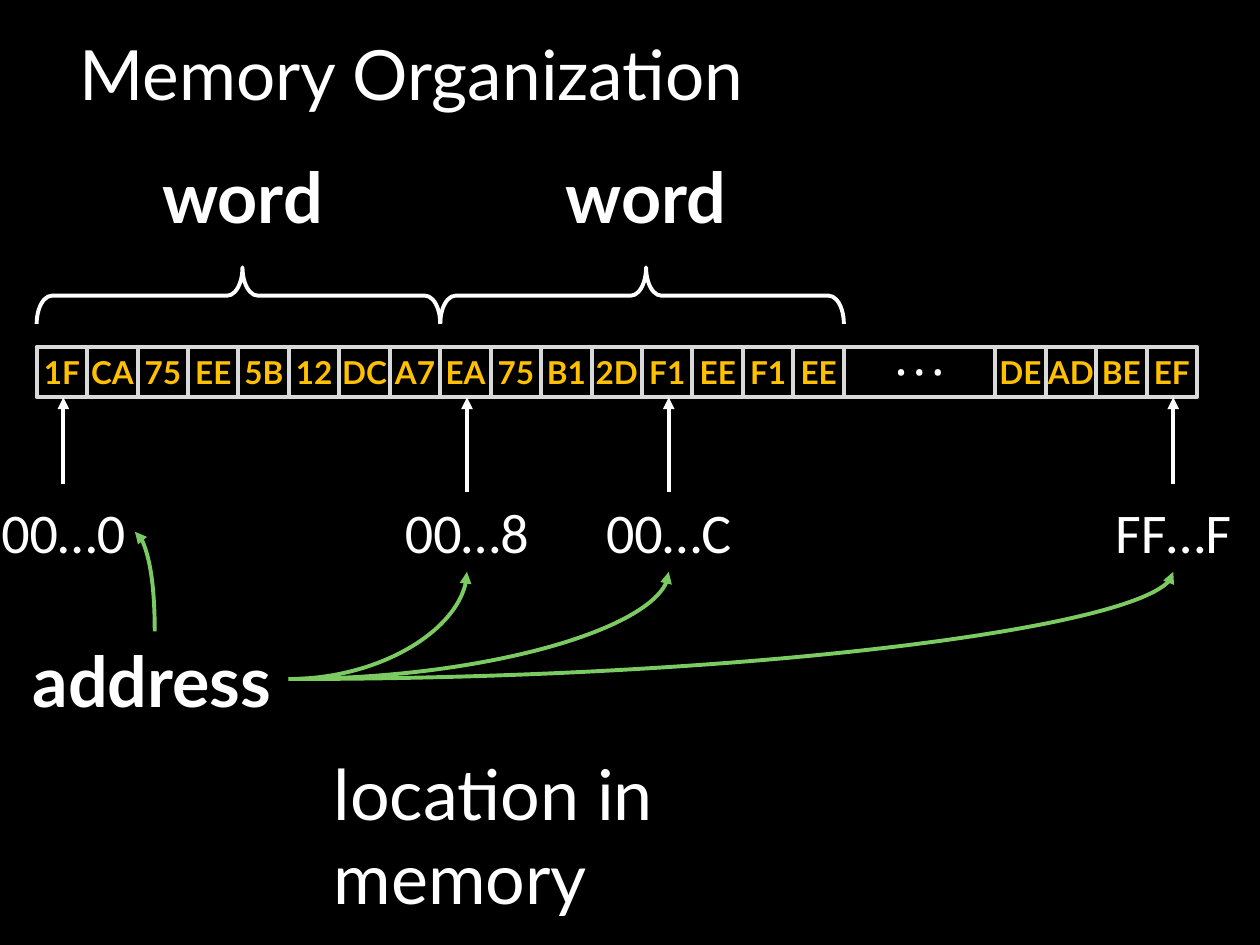
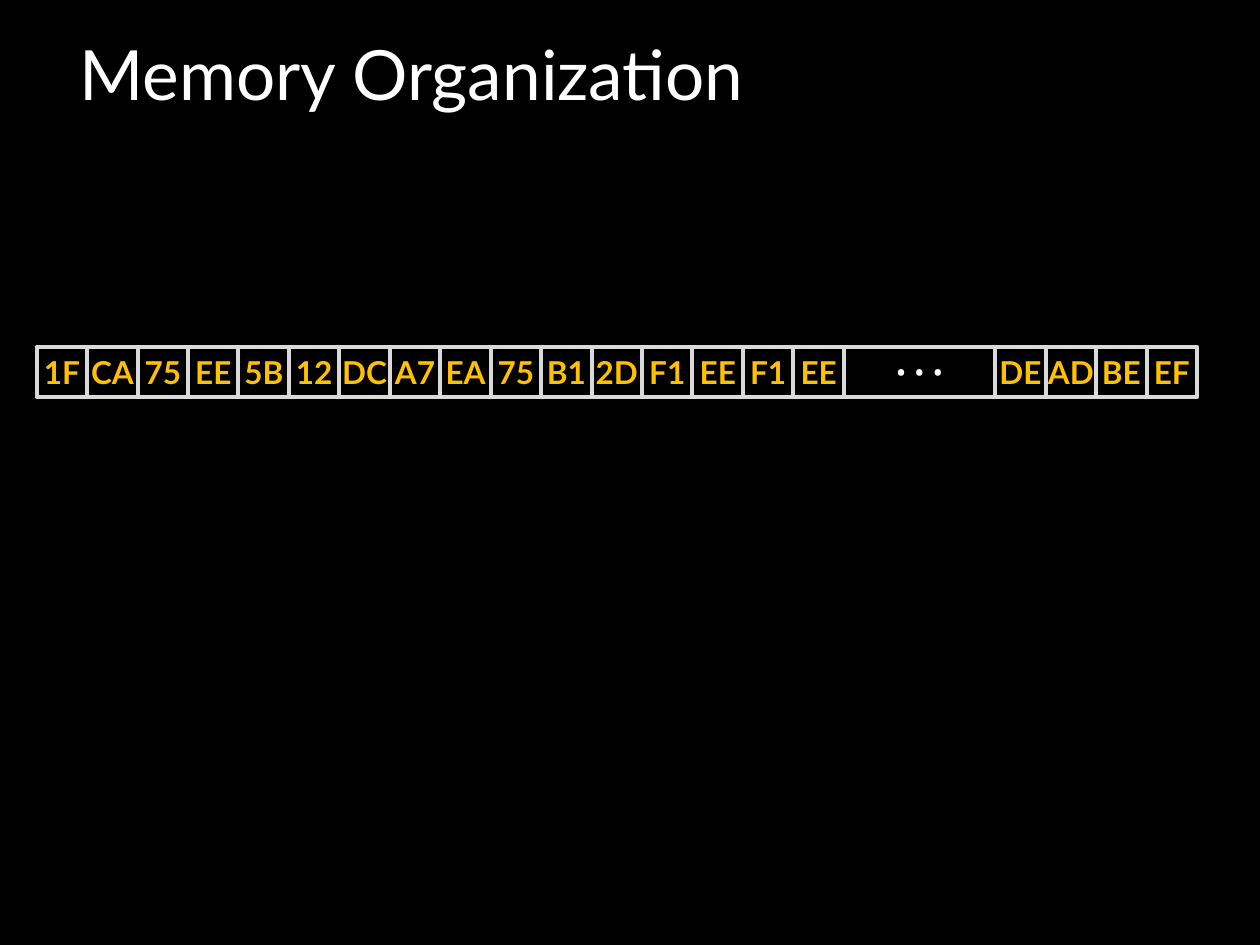
from lxml import etree
from pptx import Presentation
from pptx.dml.color import RGBColor
from pptx.enum.shapes import MSO_CONNECTOR, MSO_SHAPE
from pptx.enum.text import MSO_ANCHOR, MSO_AUTO_SIZE, PP_ALIGN
from pptx.oxml.ns import qn
from pptx.util import Cm, Pt

LEFT, CENTER = PP_ALIGN.LEFT, PP_ALIGN.CENTER
TOP, MIDDLE = MSO_ANCHOR.TOP, MSO_ANCHOR.MIDDLE
GROW = MSO_AUTO_SIZE.SHAPE_TO_FIT_TEXT
RECTANGLE, BRACE = MSO_SHAPE.RECTANGLE, MSO_SHAPE.RIGHT_BRACE
STRAIGHT, CURVE = MSO_CONNECTOR.STRAIGHT, MSO_CONNECTOR.CURVE

# Shared style
BLACK, WHITE, GRAY = "000000", "FFFFFF", "D9D9D9"
GOLD, GREEN = "FFC000", "7CCA62"
LINE_WIDTH = 2.25
TITLE_ONLY = 5

# Memory row, in centimetres: 16 bytes, a gap three cells wide, 4 bytes
FIRST_BYTES = "1F CA 75 EE 5B 12 DC A7 EA 75 B1 2D F1 EE F1 EE".split()
LAST_BYTES = "DE AD BE EF".split()
GAP_CELLS = 3
GAP_START = len(FIRST_BYTES)
LAST_START = GAP_START + GAP_CELLS
ROW_LEFT, ROW_RIGHT, ROW_TOP, ROW_HEIGHT = 0.74, 24.13, 6.99, 1.02
CELL = (ROW_RIGHT - ROW_LEFT) / (LAST_START + len(LAST_BYTES))
BYTES_PER_WORD = 8

# Labelled addresses: cell number, label, start of its straight arrow
ADDRESSES = [(0, "00…0", 9.75), (8, "00…8", 9.91),
             (12, "00…C", 9.91), (22, "FF…F", 9.75)]


def color(value):
    return RGBColor.from_string(value)


def cell_x(number):
    return ROW_LEFT + number * CELL


def write(frame, text, *, size, font="Lato", ink=WHITE, bold=False,
          align=LEFT, anchor=TOP, spacing=None):
    frame.vertical_anchor = anchor
    para = frame.paragraphs[0]
    para.alignment = align
    if spacing:
        para.line_spacing = spacing
    span = para.add_run()
    span.text = text
    span.font.name = font
    span.font.size = Pt(size)
    span.font.bold = bold
    span.font.color.rgb = color(ink)


def add_label(page, text, left, top, width, height, *, wrap=False,
              side_inset=0.25, **style):
    box = page.shapes.add_textbox(Cm(left), Cm(top), Cm(width), Cm(height))
    frame = box.text_frame
    frame.word_wrap = wrap
    frame.auto_size = GROW
    frame.margin_left = frame.margin_right = Cm(side_inset)
    write(frame, text, **style)


def add_outline(page, kind, left, top, width, height, ink):
    shape = page.shapes.add_shape(kind, Cm(left), Cm(top), Cm(width), Cm(height))
    shape.shadow.inherit = False
    shape.fill.background()
    shape.line.color.rgb = color(ink)
    shape.line.width = Pt(LINE_WIDTH)
    return shape


def add_arrow(page, start, end, *, kind=STRAIGHT, ink=WHITE, arrow_end="tailEnd"):
    points = [Cm(value) for value in (*start, *end)]
    arrow = page.shapes.add_connector(kind, *points)
    arrow.line.color.rgb = color(ink)
    arrow.line.width = Pt(LINE_WIDTH)
    properties = arrow._element.spPr
    if kind == CURVE:
        # Quarter curve: leaves horizontally, arrives vertically
        properties.find(qn("a:prstGeom")).set("prst", "curvedConnector2")
    head = etree.SubElement(properties.find(qn("a:ln")), qn(f"a:{arrow_end}"))
    head.set("type", "triangle")
    etree.SubElement(properties, qn("a:effectLst"))


def add_page(deck, title):
    page = deck.slides.add_slide(deck.slide_layouts[TITLE_ONLY])
    box = page.shapes.title
    box.left, box.top, box.width, box.height = Cm(1.35), Cm(0.74), Cm(21.9), Cm(1.65)
    write(box.text_frame, title, size=39.6, anchor=MIDDLE, spacing=0.9)
    return page


def add_byte(page, number, value):
    left = cell_x(number)
    add_outline(page, RECTANGLE, left, ROW_TOP, CELL, ROW_HEIGHT, GRAY)
    add_label(page, value, left - CELL / 4, ROW_TOP, CELL * 1.5, ROW_HEIGHT,
              size=18, ink=GOLD, bold=True, align=CENTER)


def add_memory_row(page):
    for start, values in ((0, FIRST_BYTES), (LAST_START, LAST_BYTES)):
        for number, value in enumerate(values, start):
            add_byte(page, number, value)
    gap = add_outline(page, RECTANGLE, cell_x(GAP_START), ROW_TOP,
                      GAP_CELLS * CELL, ROW_HEIGHT, GRAY)
    write(gap.text_frame, "• • •", size=18, font="Roboto", align=CENTER, anchor=MIDDLE)


def add_word(page, first_cell):
    span, depth, middle, tip = BYTES_PER_WORD * CELL, 1.14, 5.96, 0.51
    left = cell_x(first_cell)
    # The brace is turned a quarter, so its width and height swap
    brace = add_outline(page, BRACE, left + (span - depth) / 2, middle - span / 2,
                        depth, span, WHITE)
    brace.rotation = 270
    brace.adjustments[0], brace.adjustments[1] = 0.27, tip
    width = 3.86
    add_label(page, "word", left + tip * span - width / 2, 2.97, width, 1.96,
              size=40, bold=True, align=CENTER)


def add_address(page, number, text, arrow_start):
    x, width = cell_x(number + 0.5) + 0.03, 3
    add_arrow(page, (x, arrow_start), (x, ROW_TOP + ROW_HEIGHT))
    add_label(page, text, x - width / 2, 9.91, width, 1.63, side_inset=0.13,
              size=32, font="Calibri", align=CENTER)
    if number:
        add_arrow(page, (5.82, 13.69), (x, 11.53), kind=CURVE, ink=GREEN)
    else:
        add_arrow(page, (2.72, 10.72), (3.12, 12.73), kind=CURVE, ink=GREEN,
                  arrow_end="headEnd")


def main():
    deck = Presentation()
    deck.slide_width, deck.slide_height = Cm(25.4), Cm(19.05)
    background = deck.slide_master.background.fill
    background.solid()
    background.fore_color.rgb = color(BLACK)

    # Slide 1: words and addresses
    page = add_page(deck, "Memory Organization")
    add_memory_row(page)
    for first_cell in (0, BYTES_PER_WORD):
        add_word(page, first_cell)
    for address in ADDRESSES:
        add_address(page, *address)
    add_label(page, "address", 0.41, 12.73, 5.41, 1.96, size=40, bold=True)
    add_label(page, "location in memory", 6.48, 15.01, 11.91, 1.96, wrap=True, size=40)

    # Slide 2: the memory row alone
    add_memory_row(add_page(deck, "Memory Organization"))

    deck.save("out.pptx")


if __name__ == "__main__":
    main()
